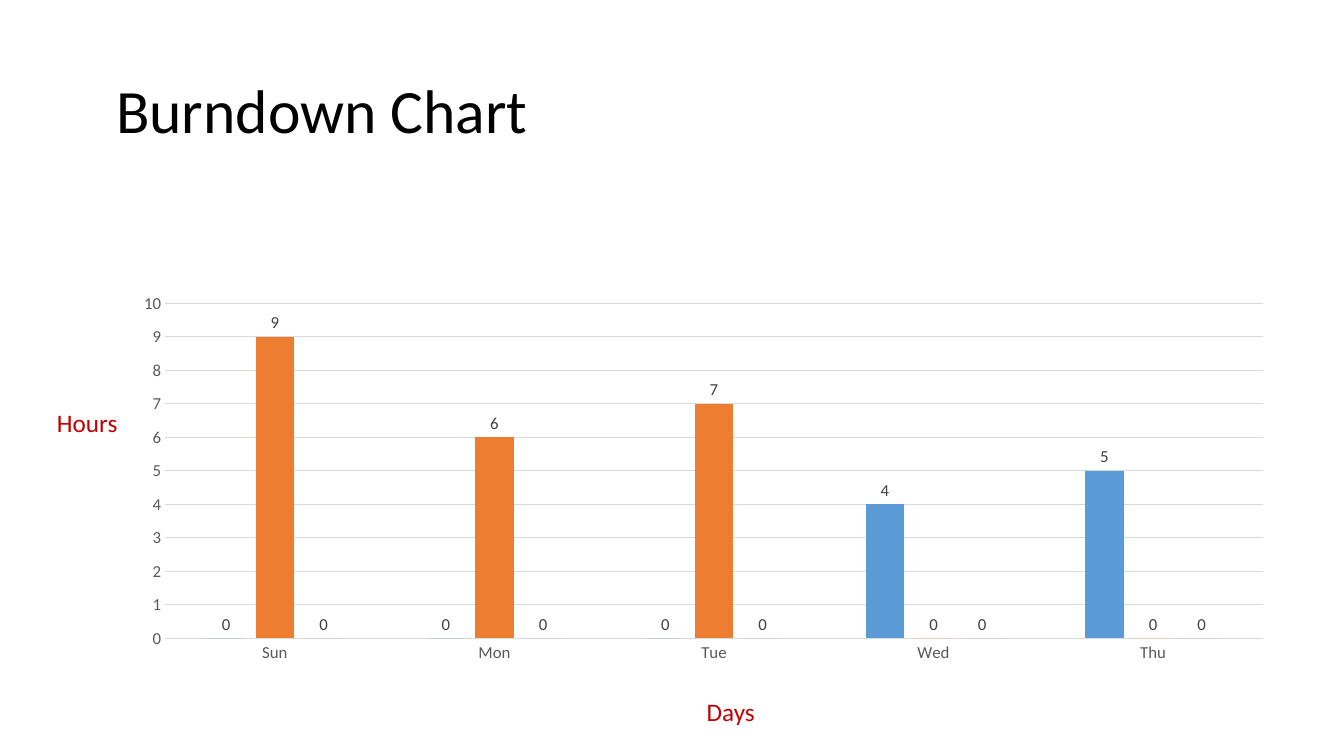
from lxml.etree import SubElement
from pptx import Presentation
from pptx.chart.data import CategoryChartData
from pptx.dml.color import RGBColor
from pptx.enum.chart import XL_CHART_TYPE, XL_LABEL_POSITION, XL_TICK_MARK
from pptx.enum.text import MSO_ANCHOR, MSO_AUTO_SIZE, PP_ALIGN
from pptx.oxml.ns import qn
from pptx.util import Pt

BLACK = RGBColor(0x00, 0x00, 0x00)
RED = RGBColor(0xC0, 0x00, 0x00)
AXIS_TEXT = RGBColor(0x59, 0x59, 0x59)
LABEL_TEXT = RGBColor(0x40, 0x40, 0x40)
GRID = RGBColor(0xD9, 0xD9, 0xD9)
BLUE = RGBColor(0x5B, 0x9B, 0xD5)
ORANGE = RGBColor(0xED, 0x7D, 0x31)
GRAY = RGBColor(0xA5, 0xA5, 0xA5)
FONT = "Calibri"

DAYS = ["Sun", "Mon", "Tue", "Wed", "Thu"]
HOURS = [
    ("Series 1", [None, None, None, 4, 5], BLUE),
    ("Series 2", [9, 6, 7, None, None], ORANGE),
    ("Series 3", [None] * len(DAYS), GRAY),
]


def style_font(font, size, color):
    font.name = FONT
    font.size = Pt(size)
    font.bold = False
    font.color.rgb = color


def place_title(slide, left, top, width, height):
    title = slide.shapes.title
    title.left, title.top, title.width, title.height = map(Pt, (left, top, width, height))
    frame = title.text_frame
    frame.text = "Burndown Chart"
    frame.auto_size = MSO_AUTO_SIZE.NONE
    frame.vertical_anchor = MSO_ANCHOR.MIDDLE
    frame.margin_left = Pt(17)
    heading = frame.paragraphs[0]
    heading.alignment = PP_ALIGN.LEFT
    heading.line_spacing = 0.9
    style_font(heading.runs[0].font, 44, BLACK)


def add_axis_name(slide, name, left, top, width, height):
    axis_name = slide.shapes.add_textbox(Pt(left), Pt(top), Pt(width), Pt(height))
    frame = axis_name.text_frame
    frame.word_wrap = True
    frame.vertical_anchor = MSO_ANCHOR.MIDDLE
    frame.text = name
    frame.paragraphs[0].alignment = PP_ALIGN.CENTER
    style_font(frame.paragraphs[0].runs[0].font, 18, RED)


def set_plot_layout(chart, x, y, w, h):
    plot_area = chart._chartSpace.chart.plotArea
    layout = plot_area.find(qn("c:layout"))
    if layout is None:
        layout = SubElement(plot_area, qn("c:layout"))
        plot_area.insert(0, layout)
    manual = SubElement(layout, qn("c:manualLayout"))
    settings = [("layoutTarget", "inner"), ("xMode", "edge"), ("yMode", "edge"),
                ("x", x), ("y", y), ("w", w), ("h", h)]
    for tag, value in settings:
        SubElement(manual, qn(f"c:{tag}")).set("val", str(value))


def show_blanks_as_zero(chart):
    chart_element = chart._chartSpace.chart
    blanks = chart_element.find(qn("c:dispBlanksAs"))
    if blanks is None:
        blanks = SubElement(chart_element, qn("c:dispBlanksAs"))
    blanks.set("val", "zero")


def add_burndown(slide, left, top, width, height):
    burndown_data = CategoryChartData()
    burndown_data.categories = DAYS
    for name, hours, _ in HOURS:
        burndown_data.add_series(name, hours)
    chart = slide.shapes.add_chart(
        XL_CHART_TYPE.COLUMN_CLUSTERED,
        Pt(left), Pt(top), Pt(width), Pt(height), burndown_data).chart
    chart.has_title = False
    chart.has_legend = False
    style_font(chart.font, 10, BLACK)
    set_plot_layout(chart, 0.035, 0.209, 0.947, 0.698)
    show_blanks_as_zero(chart)

    days_axis, hours_axis = chart.category_axis, chart.value_axis
    for axis in (days_axis, hours_axis):
        axis.major_tick_mark = XL_TICK_MARK.NONE
        axis.minor_tick_mark = XL_TICK_MARK.NONE
        style_font(axis.tick_labels.font, 12, AXIS_TEXT)
    hours_axis.minimum_scale = 0
    hours_axis.maximum_scale = 10
    hours_axis.major_unit = 1
    hours_axis.has_major_gridlines = True
    hours_axis.format.line.fill.background()
    for line in (days_axis.format.line, hours_axis.major_gridlines.format.line):
        line.color.rgb = GRID
        line.width = Pt(0.75)

    columns = chart.plots[0]
    columns.gap_width = 219
    columns.overlap = -27
    columns.vary_by_categories = False
    for series, (_, _, color) in zip(columns.series, HOURS):
        series.format.fill.solid()
        series.format.fill.fore_color.rgb = color
        series.invert_if_negative = False
        labels = series.data_labels
        labels.show_value = True
        labels.position = XL_LABEL_POSITION.OUTSIDE_END
        style_font(labels.font, 12, LABEL_TEXT)


def main():
    deck = Presentation()
    deck.slide_width = Pt(960)
    deck.slide_height = Pt(540)
    slide = deck.slides.add_slide(deck.slide_layouts[5])
    place_title(slide, 66, 28.75, 828, 104.4)
    add_burndown(slide, 89, 145.2, 828, 342.7)
    add_axis_name(slide, "Hours", 32.4, 289.4, 59.8, 25.2)
    add_axis_name(slide, "Days", 470.9, 489.6, 102.2, 37.4)
    deck.save("out.pptx")


if __name__ == "__main__":
    main()
